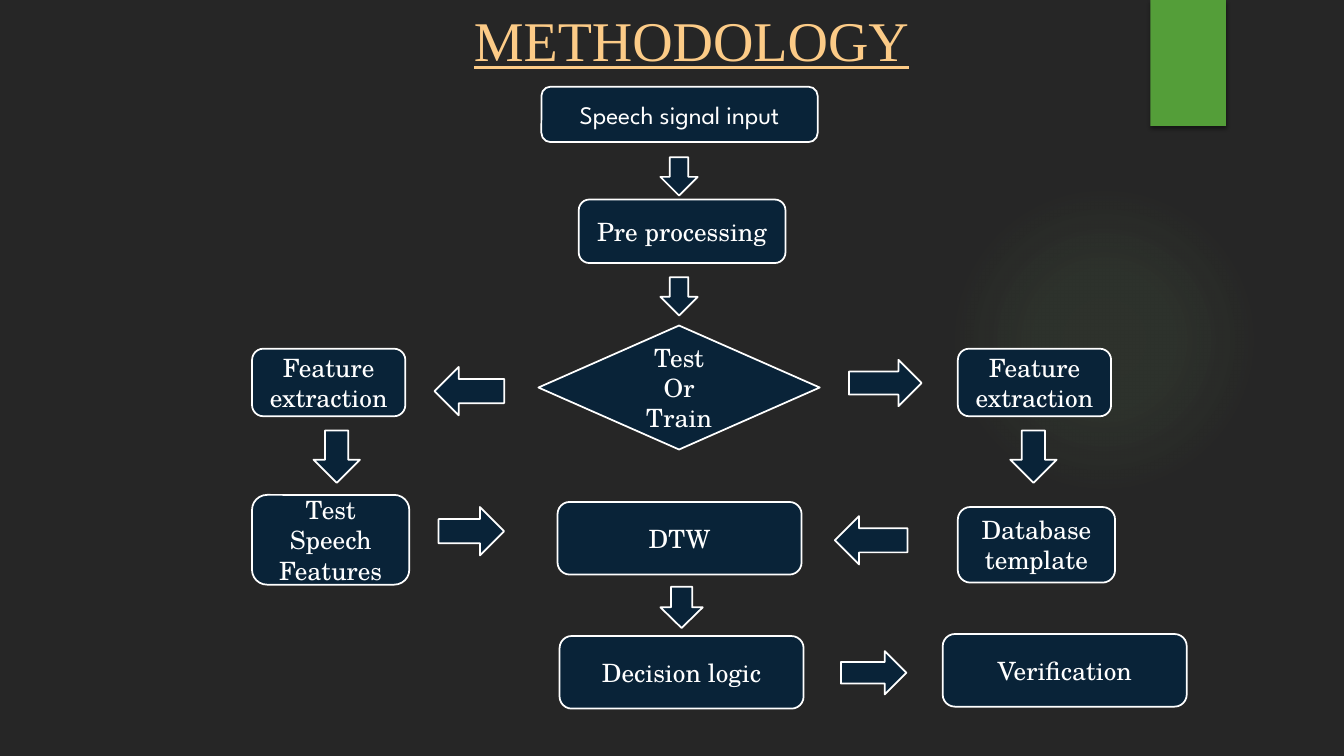
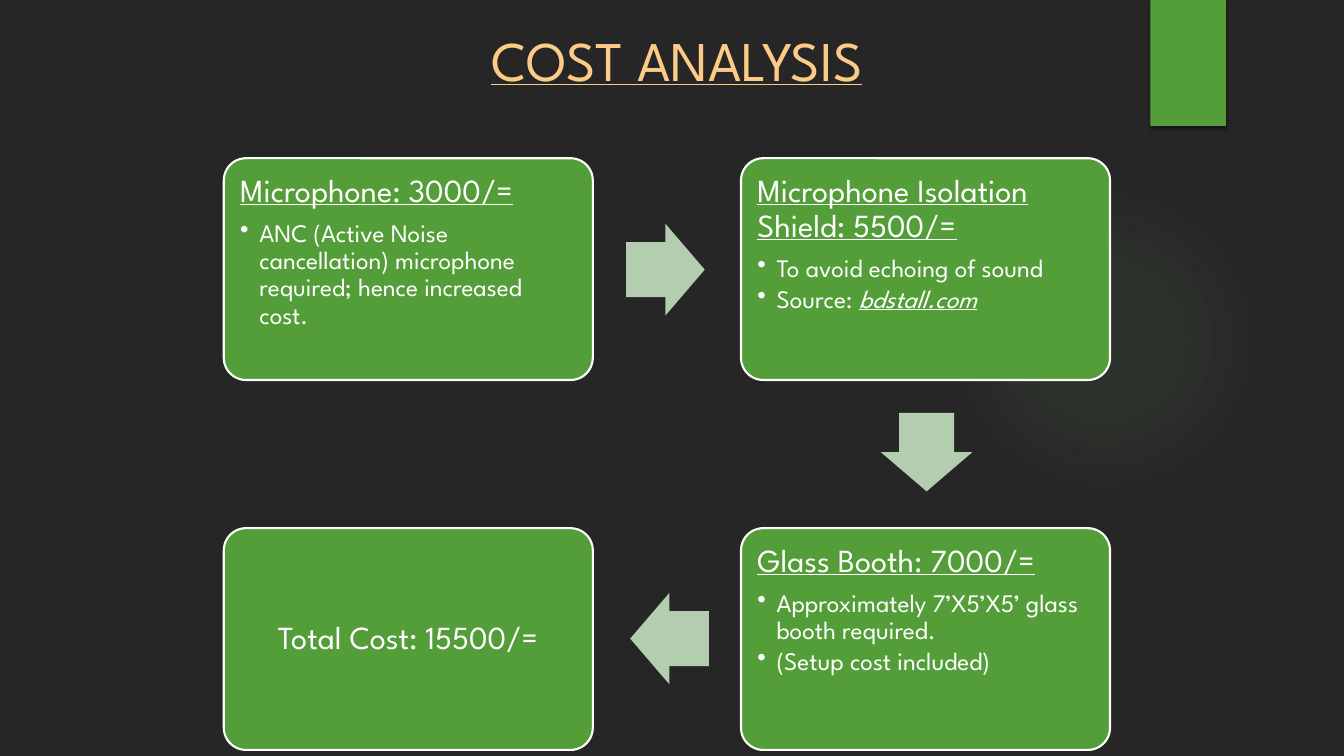
"""Build the methodology flow chart and the cost analysis slides."""
import pptx
import pptx.dml.color
import pptx.enum.shapes
import pptx.enum.text
import pptx.oxml
import pptx.oxml.ns
import pptx.util

RGB = pptx.dml.color.RGBColor
KIND = pptx.enum.shapes.MSO_SHAPE
ALIGN = pptx.enum.text.PP_ALIGN
ANCHOR = pptx.enum.text.MSO_ANCHOR
Pt = pptx.util.Pt

PX = 9144
DARK = RGB(0x26, 0x26, 0x26)
GREEN = RGB(0x54, 0x9E, 0x39)
GLOW = RGB(0x93, 0xD0, 0x7D)
SAND = RGB(0xFC, 0xCB, 0x87)
NAVY = RGB(0x09, 0x23, 0x38)
PALE = RGB(0xB4, 0xCC, 0xAF)
WHITE = RGB(0xFF, 0xFF, 0xFF)
SANS = "League Spartan"
SERIF = "TeX Gyre Schola"
ROMAN = "Times New Roman"

STEPS = [
    ("Speech signal input", (537, 86, 274, 55), SANS),
    ("Pre processing", (574, 198, 205, 63), SERIF),
    ("Feature extraction", (250, 346, 152, 67), SERIF),
    ("Feature extraction", (950, 346, 152, 67), SERIF),
    ("Test Speech Features", (250, 491, 156, 89), SERIF),
    ("Database template", (950, 503, 156, 75), SERIF),
    ("DTW", (553, 498, 242, 72), SERIF),
    ("Decision logic", (555, 631, 242, 72), SERIF),
    ("Verification", (935, 629, 242, 72), SERIF),
]
CHOICE = ("Test\nOr\nTrain", (534, 323, 279, 123))
ARROWS = {
    KIND.DOWN_ARROW: [
        (655, 156, 37, 38), (655, 275, 37, 38), (655, 582, 42, 41),
        (311, 427, 46, 52), (1002, 427, 46, 52),
    ],
    KIND.LEFT_ARROW: [(431, 364, 69, 48), (828, 512, 72, 48)],
    KIND.RIGHT_ARROW: [
        (842, 357, 72, 46), (435, 503, 65, 48), (834, 646, 65, 43),
    ],
}

CARDS = [
    (0, 0, "Microphone: 3000/=", [
        ("ANC (Active Noise cancellation) microphone required; "
         "hence increased cost.",)]),
    (1, 0, "Microphone Isolation Shield: 5500/=", [
        ("To avoid echoing of sound",), ("Source: ", "bdstall.com")]),
    (1, 1, "Glass Booth: 7000/=", [
        ("Approximately 7’X5’X5’ glass booth required.",),
        ("(Setup cost included)",)]),
    (0, 1, "Total Cost: 15500/=", []),
]
TURNS = [(621, 222, 0), (880, 403, 90), (625, 588, 180)]
CARD_X, CARD_Y, STEP_X, STEP_Y = 222, 157, 513, 367
CARD_W, CARD_H = 366, 220
TURN_W, TURN_H = 78, 91


def emu(box):
    return [n * PX for n in box]


def style(run, size, font, color=WHITE, under=False, slant=False):
    run.font.size = Pt(size)
    run.font.name = font
    run.font.color.rgb = color
    run.font.underline = under
    run.font.italic = slant


def draw(slide, kind, box, fill, width=0):
    shape = slide.shapes.add_shape(kind, *emu(box))
    shape.shadow.inherit = False
    shape.fill.solid()
    shape.fill.fore_color.rgb = fill
    if width:
        shape.line.color.rgb = WHITE
        shape.line.width = Pt(width)
    else:
        shape.line.fill.background()
    return shape


def label(shape, text, font):
    frame = shape.text_frame
    frame.text = text
    frame.word_wrap = True
    frame.vertical_anchor = ANCHOR.MIDDLE
    for para in frame.paragraphs:
        para.alignment = ALIGN.CENTER
        style(para.runs[0], 18, font)


def xml(tag, body):
    head = tag.split()[0]
    names = pptx.oxml.ns.nsdecls("a")
    return pptx.oxml.parse_xml(f"<a:{tag} {names}>{body}</a:{head}>")


def tint(color, alpha):
    return (f'<a:srgbClr val="{color}"><a:alpha val="{alpha * 1000}"/>'
            '</a:srgbClr>')


def adorn(slide):
    glow = draw(slide, KIND.OVAL, (941, 183, 308, 308), GLOW)
    stops = "".join(f'<a:gs pos="{pos * 1000}">{tint(GLOW, alpha)}</a:gs>'
                    for pos, alpha in [(0, 7), (36, 6), (69, 0)])
    grad = xml("gradFill", f"<a:gsLst>{stops}</a:gsLst>"
               '<a:path path="circle"><a:fillToRect l="50000" t="50000" '
               'r="50000" b="50000"/></a:path>')
    props = glow.element.spPr
    props.replace(props.find(pptx.oxml.ns.qn("a:solidFill")), grad)
    flag = draw(slide, KIND.RECTANGLE, (1141, 0, 75, 125), GREEN)
    shade = xml(f'outerShdw blurRad="{Pt(3)}" dist="{Pt(2)}" dir="5400000"',
                tint("000000", 45))
    flag.element.spPr.find(pptx.oxml.ns.qn("a:effectLst")).append(shade)
    for part in (glow, flag):
        slide.slide_layout.shapes.element.append(part.element)


def start(deck, text, box, font):
    slide = deck.slides.add_slide(deck.slide_layouts[5])
    title = slide.shapes.title
    title.left, title.top, title.width, title.height = emu(box)
    frame = title.text_frame
    frame.text = text
    frame.auto_size = pptx.enum.text.MSO_AUTO_SIZE.NONE
    frame.vertical_anchor = ANCHOR.TOP
    para = frame.paragraphs[0]
    para.alignment = ALIGN.LEFT
    style(para.runs[0], 40, font, SAND, True)
    return slide


def flow(slide):
    for text, box, font in STEPS:
        label(draw(slide, KIND.ROUNDED_RECTANGLE, box, NAVY, 1.25), text, font)
    text, box = CHOICE
    label(draw(slide, KIND.FLOWCHART_DECISION, box, NAVY, 1.25), text, SERIF)
    for kind, boxes in ARROWS.items():
        for box in boxes:
            draw(slide, kind, box, NAVY, 1.25)


def bullet(frame, parts):
    para = frame.add_paragraph()
    para.level = 1
    props = para._p.get_or_add_pPr()
    props.set("marL", str(19 * PX))
    props.set("indent", str(-19 * PX))
    props.append(xml('buChar char="•"', ""))
    para.alignment = ALIGN.LEFT
    para.line_spacing = 0.9
    para.space_after = Pt(2.7)
    for i, part in enumerate(parts):
        run = para.add_run()
        run.text = part
        style(run, 18, SANS, under=i > 0, slant=i > 0)


def card(slide, col, row, head, items):
    box = (CARD_X + col * STEP_X, CARD_Y + row * STEP_Y, CARD_W, CARD_H)
    shape = draw(slide, KIND.ROUNDED_RECTANGLE, box, GREEN, 1.5)
    shape.adjustments[0] = 0.1
    frame = shape.text_frame
    frame.word_wrap = True
    frame.margin_left = frame.margin_right = 10 * PX
    frame.margin_top = frame.margin_bottom = 10 * PX
    frame.vertical_anchor = ANCHOR.TOP if items else ANCHOR.MIDDLE
    frame.text = head
    para = frame.paragraphs[0]
    para.alignment = ALIGN.LEFT if items else ALIGN.CENTER
    para.line_spacing = 0.9
    para.space_after = Pt(8)
    style(para.runs[0], 23, SANS, under=bool(items))
    for parts in items:
        bullet(frame, parts)


def costs(slide):
    for item in CARDS:
        card(slide, *item)
    for left, top, angle in TURNS:
        arrow = draw(slide, KIND.RIGHT_ARROW, (left, top, TURN_W, TURN_H), PALE)
        arrow.adjustments[0] = 0.6
        arrow.adjustments[1] = 0.5
        arrow.rotation = angle


def main():
    deck = pptx.Presentation()
    deck.slide_width, deck.slide_height = emu((1333, 750))
    back = deck.slide_master.background.fill
    back.solid()
    back.fore_color.rgb = DARK
    first = start(deck, "METHODOLOGY", (460, 0, 456, 77), ROMAN)
    adorn(first)
    flow(first)
    costs(start(deck, "COST ANALYSIS", (477, 20, 447, 77), SANS))
    deck.save("out.pptx")


if __name__ == "__main__":
    main()
